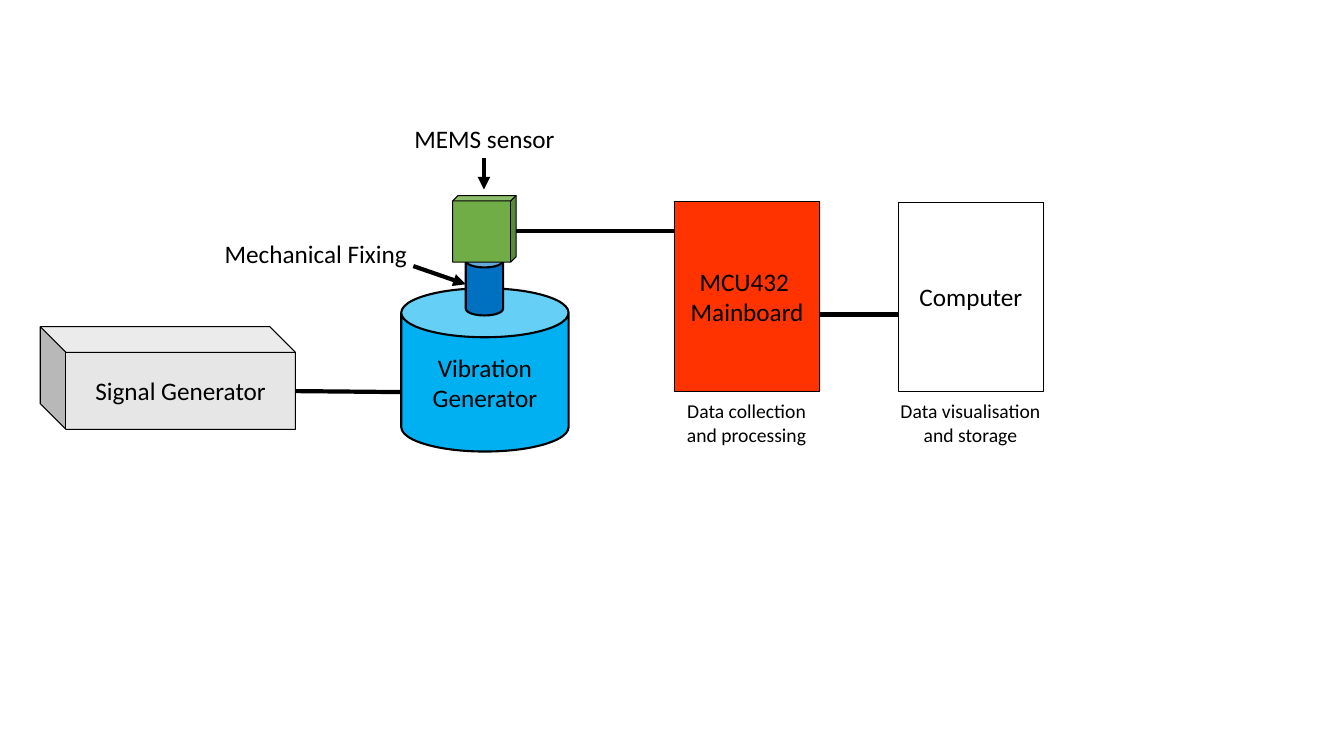
from lxml import etree
from pptx import Presentation
from pptx.dml.color import RGBColor
from pptx.enum.shapes import MSO_CONNECTOR, MSO_SHAPE
from pptx.enum.text import MSO_ANCHOR, MSO_AUTO_SIZE, PP_ALIGN
from pptx.oxml.ns import qn
from pptx.util import Inches, Pt

CUBE, CAN = MSO_SHAPE.CUBE, MSO_SHAPE.CAN
STRAIGHT = MSO_CONNECTOR.STRAIGHT
LEFT, CENTER = PP_ALIGN.LEFT, PP_ALIGN.CENTER
MIDDLE = MSO_ANCHOR.MIDDLE
FIT_SHAPE = MSO_AUTO_SIZE.SHAPE_TO_FIT_TEXT

FONT = "Calibri"
COLORS = {
    "ink": "000000",
    "signal": "E7E6E6",
    "vibration": "00B0F0",
    "fixing": "0070C0",
    "sensor": "70AD47",
    "board": "FF3300",
    "computer": "FFFFFF",
}


def rgb(name):
    return RGBColor.from_string(COLORS[name])


def write(tf, lines, size, align):
    for i, line in enumerate(lines):
        p = tf.paragraphs[0] if i == 0 else tf.add_paragraph()
        p.alignment = align
        r = p.add_run()
        r.text = line
        r.font.name = FONT
        r.font.size = Pt(size)
        r.font.color.rgb = rgb("ink")


def add_solid(s, kind, box, depth, color, lines=(), width=0.75):
    """Add an outlined cube or can; depth is its shape adjustment."""
    sp = s.shapes.add_shape(kind, *map(Inches, box))
    sp.adjustments[0] = depth
    sp.shadow.inherit = False
    sp.fill.solid()
    sp.fill.fore_color.rgb = rgb(color)
    sp.line.color.rgb = rgb("ink")
    sp.line.width = Pt(width)
    tf = sp.text_frame
    tf.word_wrap = False
    tf.vertical_anchor = MIDDLE
    write(tf, lines, 18, CENTER)
    return sp


def add_label(s, text, box, size=18, align=CENTER):
    tf = s.shapes.add_textbox(*map(Inches, box)).text_frame
    tf.word_wrap = True
    tf.auto_size = FIT_SHAPE
    write(tf, [text], size, align)


def add_line(s, start, end, arrow=False):
    cx = s.shapes.add_connector(STRAIGHT, *map(Inches, start + end))
    cx.line.color.rgb = rgb("ink")
    cx.line.width = Pt(3)
    if arrow:
        etree.SubElement(cx.line._get_or_add_ln(), qn("a:tailEnd"), type="triangle")
    etree.SubElement(cx.element.spPr, qn("a:effectLst"))


def main():
    prs = Presentation()
    prs.slide_width, prs.slide_height = Inches(13.33), Inches(7.5)
    s = prs.slides.add_slide(prs.slide_layouts[6])

    signal = add_solid(s, CUBE, (0.4, 3.24, 2.53, 1.02), 0.25, "signal",
                       ["Signal Generator"])
    signal.element.spPr.xfrm.set("flipH", "1")
    add_solid(s, CAN, (3.98, 2.86, 1.66, 1.62), 0.3, "vibration",
              ["Vibration", "Generator"], 1.5)
    add_solid(s, CAN, (4.62, 2.52, 0.37, 0.61), 0.36, "fixing", width=1.5)
    add_label(s, "Mechanical Fixing", (2.13, 2.32, 2.05, 0.4), align=LEFT)
    add_line(s, (4.1, 2.64), (4.62, 2.82), arrow=True)

    add_solid(s, CUBE, (4.49, 1.94, 0.63, 0.66), 0.085, "sensor")
    add_label(s, "MEMS sensor", (3.96, 1.17, 1.69, 0.4))
    add_line(s, (4.8, 1.57), (4.8, 1.88), arrow=True)

    add_solid(s, CUBE, (6.69, 2, 1.44, 1.88), 0, "board", ["MCU432 ", "Mainboard"])
    add_solid(s, CUBE, (8.91, 2.01, 1.44, 1.87), 0, "computer", ["Computer"])

    add_line(s, (2.93, 3.88), (3.98, 3.89))
    add_line(s, (5.12, 2.29), (6.69, 2.29))
    add_line(s, (8.13, 3.12), (8.91, 3.12))

    add_label(s, "Data collection and processing", (6.65, 3.91, 1.51, 0.57), 14)
    add_label(s, "Data visualisation and storage", (8.78, 3.91, 1.69, 0.57), 14)

    prs.save("out.pptx")


if __name__ == "__main__":
    main()
